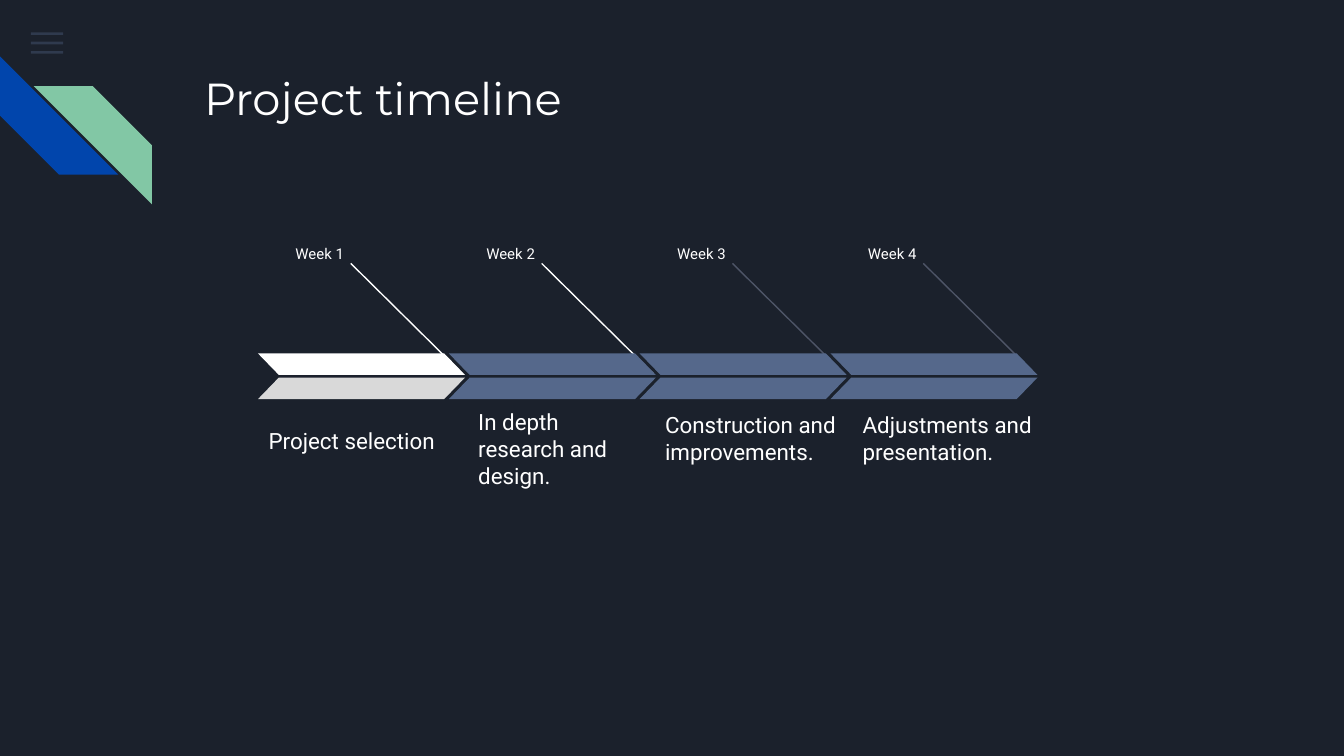
from dataclasses import dataclass

from lxml import etree
from pptx import Presentation
from pptx.dml.color import RGBColor
from pptx.enum.shapes import MSO_CONNECTOR, MSO_SHAPE
from pptx.enum.text import MSO_ANCHOR, MSO_AUTO_SIZE
from pptx.oxml.ns import qn
from pptx.util import Inches, Pt

RECT, STRIPE, SLANT = MSO_SHAPE.RECTANGLE, MSO_SHAPE.DIAGONAL_STRIPE, MSO_SHAPE.PARALLELOGRAM
STRAIGHT = MSO_CONNECTOR.STRAIGHT
TOP, BOTTOM = MSO_ANCHOR.TOP, MSO_ANCHOR.BOTTOM
NO_FIT, GROW = MSO_AUTO_SIZE.NONE, MSO_AUTO_SIZE.SHAPE_TO_FIT_TEXT


@dataclass(frozen=True)
class Theme:
    background: str = "1B212C"
    text: str = "FFFFFF"
    active: str = "FFFFFF"
    active_shade: str = "D9D9D9"
    pending: str = "55688B"
    dim_line: str = "4E5567"
    blue: str = "0145AC"
    green: str = "82C7A5"
    heading_font: str = "Montserrat"
    body_font: str = "Roboto"
    title_size: int = 24
    caption_size: int = 12
    week_size: int = 8
    line_width: float = 0.75


THEME = Theme()
SLIDE_WIDTH = Inches(10)
WEEK_PITCH = 1.42

# caption, caption left, caption top, leader colour, upper fill, lower fill
WEEKS = [
    ("Project selection", 1.9, 2.98, THEME.active, THEME.active, THEME.active_shade),
    ("In depth research and design.", 3.46, 3.24, THEME.active, THEME.pending, THEME.pending),
    ("Construction and improvements.", 4.85, 3.06, THEME.dim_line, THEME.pending, THEME.pending),
    ("Adjustments and presentation.", 6.32, 3.06, THEME.dim_line, THEME.pending, THEME.pending),
]


def rgb(value):
    return RGBColor.from_string(value)


def add_text(s, text, box, size, font=THEME.body_font, anchor=TOP, fit=NO_FIT):
    tf = s.shapes.add_textbox(*map(Inches, box)).text_frame
    margins = dict.fromkeys(
        ("margin_left", "margin_top", "margin_right", "margin_bottom"), Inches(0.1))
    frame = {"word_wrap": True, "auto_size": fit, "vertical_anchor": anchor, **margins}
    for name, value in frame.items():
        setattr(tf, name, value)
    r = tf.paragraphs[0].add_run()
    r.text = text
    for name, value in {"name": font, "size": Pt(size)}.items():
        setattr(r.font, name, value)
    r.font.color.rgb = rgb(THEME.text)


def add_block(s, kind, box, color, adjust=None, flip=False, rotation=0, opacity=None):
    """Add a borderless filled shape; opacity is a percentage."""
    sp = s.shapes.add_shape(kind, *map(Inches, box))
    sp.shadow.inherit = False
    sp.fill.solid()
    sp.fill.fore_color.rgb = rgb(color)
    sp.line.fill.background()
    sp.rotation = rotation
    if adjust is not None:
        sp.adjustments[0] = adjust
    if flip:
        sp._element.spPr.find(qn("a:xfrm")).set("flipH", "1")
    if opacity is not None:
        clr = sp._element.spPr.find(qn("a:solidFill"))[0]
        etree.SubElement(clr, qn("a:alpha")).set("val", str(opacity * 1000))


def add_leader(s, start, end, color):
    line = s.shapes.add_connector(STRAIGHT, *map(Inches, start + end))
    line.line.color.rgb = rgb(color)
    line.line.width = Pt(THEME.line_width)
    etree.SubElement(line._element.spPr, qn("a:effectLst"))


def add_decoration(s):
    for i in range(3):
        add_block(s, RECT, (0.23, 0.24 + i * 0.07, 0.24, 0.02), THEME.pending, opacity=36)
    add_block(s, STRIPE, (0, 0.42, 0.88, 0.88), THEME.blue, adjust=0.5, rotation=270)
    add_block(s, STRIPE, (0.25, 0.64, 0.88, 0.88), THEME.green, adjust=0.5, flip=True)


def add_week(s, index, caption, left, top, leader, upper, lower):
    x = index * WEEK_PITCH
    add_text(s, f"Week {index + 1}", (2.1 + x, 1.75, 0.7, 0.27), THEME.week_size, fit=GROW)
    add_text(s, caption, (left, top, 1.48, 0.5), THEME.caption_size, anchor=BOTTOM)
    add_leader(s, (2.61 + x, 1.96), (3.44 + x, 2.78), leader)
    add_block(s, SLANT, (1.92 + x, 2.63, 1.54, 0.16), upper, adjust=0.97, flip=True)
    add_block(s, SLANT, (1.92 + x, 2.81, 1.54, 0.16), lower, adjust=0.97)


def main():
    prs = Presentation()
    prs.slide_width, prs.slide_height = SLIDE_WIDTH, SLIDE_WIDTH * 9 // 16
    s = prs.slides.add_slide(prs.slide_layouts[6])
    s.background.fill.solid()
    s.background.fill.fore_color.rgb = rgb(THEME.background)
    add_decoration(s)
    add_text(s, "Project timeline", (1.42, 0.43, 7.7, 1), THEME.title_size, THEME.heading_font)
    for index, week in enumerate(WEEKS):
        add_week(s, index, *week)
    prs.save("out.pptx")


if __name__ == "__main__":
    main()
